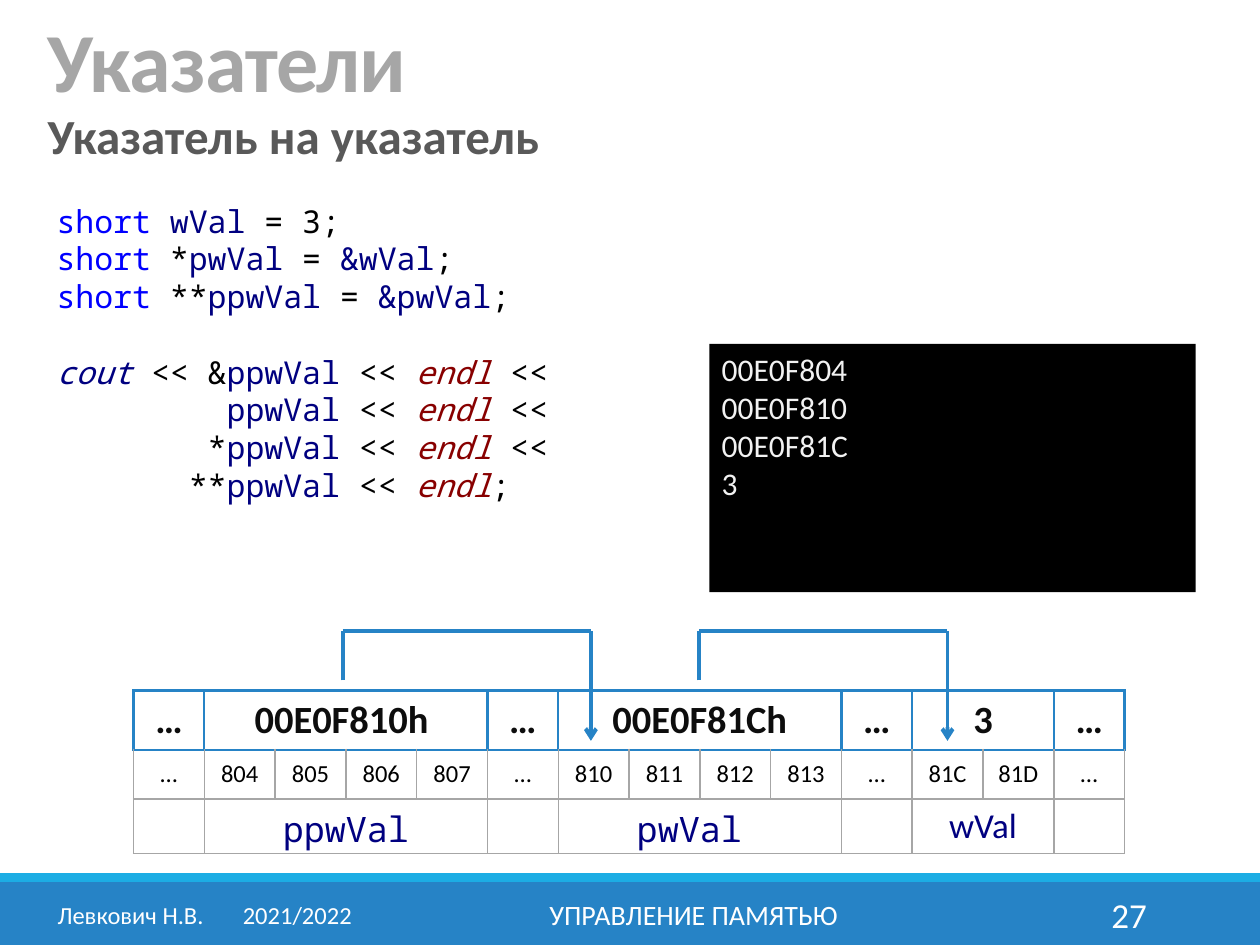
"""Build a slide explaining a pointer to a pointer in C++."""
from lxml import etree
from pptx import Presentation
from pptx.dml.color import RGBColor
from pptx.enum import shapes, text
from pptx.oxml import parse_xml
from pptx.oxml.ns import nsdecls, qn
from pptx.util import Inches, Pt

BLUE, GREY, NAVY, WHITE, BLACK = "2683C6", "A6A6A6", "000080", "FFFFFF", "000000"
LEFT, CENTER, RIGHT = text.PP_ALIGN.LEFT, text.PP_ALIGN.CENTER, text.PP_ALIGN.RIGHT
TOP, MIDDLE = text.MSO_ANCHOR.TOP, text.MSO_ANCHOR.MIDDLE


def style(font, size, colour, bold=False, name="Calibri", italic=False):
    font.size, font.name, font.bold, font.italic = Pt(size), name, bold, italic
    font.color.rgb = RGBColor.from_string(colour)


def add_text(box, content, size, colour, align=LEFT, anchor=TOP, bold=False):
    shape = slide.shapes.add_textbox(*[Inches(value) for value in box])
    frame = shape.text_frame
    frame.word_wrap = True
    frame.vertical_anchor = anchor
    frame.text = content
    paragraph = frame.paragraphs[0]
    paragraph.alignment = align
    for run in paragraph.runs:
        style(run.font, size, colour, bold)
    return paragraph


presentation = Presentation()
presentation.slide_width, presentation.slide_height = Inches(10), Inches(7.5)
slide = presentation.slides.add_slide(presentation.slide_layouts[5])

bands = [(0, 7, 10, 0.5, BLUE), (0, 6.93, 10, 0.07, "1CADE4"), (5.63, 2.73, 3.86, 1.97, BLACK)]
for *box, colour in bands:
    shape = slide.shapes.add_shape(shapes.MSO_SHAPE.RECTANGLE, *[Inches(value) for value in box])
    shape.shadow.inherit = False
    shape.fill.solid()
    shape.fill.fore_color.rgb = RGBColor.from_string(colour)
    shape.line.fill.background()

console = shape.text_frame
console.vertical_anchor = TOP
console.text = "00E0F804\n00E0F810\n00E0F81C\n3"
for paragraph in console.paragraphs:
    paragraph.alignment = LEFT
    style(paragraph.runs[0].font, 18, "F2F2F2")

title = slide.shapes.title
title.left, title.top, title.width, title.height = Inches(0.28), Inches(0), Inches(8.25), Inches(0.92)
title.text_frame.text = "Указатели"
title.text_frame.vertical_anchor = text.MSO_ANCHOR.BOTTOM
paragraph = title.text_frame.paragraphs[0]
paragraph.alignment, paragraph.line_spacing = LEFT, 0.85
style(paragraph.runs[0].font, 48, GREY, bold=True)
paragraph.runs[0].font._element.set("spc", "-50")

subtitle = add_text((0.28, 0.84, 9.37, 0.53), "Указатель на указатель", 28, "595959", bold=True)
subtitle.line_spacing = 0.9

kinds = {"keyword": ("0000FF", False), "name": (NAVY, False), "plain": (BLACK, False),
         "stream": (NAVY, True), "endl": ("880000", True)}
code = [[("keyword", "short"), ("plain", stars), ("name", name), ("plain", " ="),
         ("name", value), ("plain", end)]
        for stars, name, value, end in [(" ", "wVal", "", " 3;"), (" *", "pwVal", " &wVal", ";"),
                                        (" **", "ppwVal", " &pwVal", ";")]]
code += [[("stream", stream), ("plain", prefix), ("name", "ppwVal"), ("plain", " << "),
          ("endl", "endl"), ("plain", end)]
         for stream, prefix, end in [("cout", " << &", " <<"), ("", "         ", " <<"),
                                     ("", "        *", " <<"), ("", "       **", ";")]]
paragraph = add_text((0.35, 1.55, 9.21, 2.52), "", 18, BLACK)
frame = slide.shapes[-1].text_frame
for number, line in enumerate(code):
    if number:
        paragraph = frame.add_paragraph()
    if line[0] == ("stream", "cout"):
        paragraph.space_before = Pt(21.5)
    for kind, content in line:
        if content:
            run = paragraph.add_run()
            run.text = content
            colour, italic = kinds[kind]
            style(run.font, 18, colour, name="Noto Sans Mono", italic=italic)

groups = [("…", 1, ""), ("00E0F810h ", 4, "ppwVal"), ("…", 1, ""), ("00E0F81Ch", 4, "pwVal "),
          ("…", 1, ""), ("3", 2, "wVal"), ("…", 1, "")]
addresses = "… 804 805 806 807 … 810 811 812 813 … 81C 81D …".split()
table = slide.shapes.add_table(3, 14, Inches(1.06), Inches(5.48), Inches(7.87), Inches(1.29)).table
table.first_row = table.horz_banding = False
for column in table.columns:
    column.width = Inches(7.87 / 14)
for row, height in zip(table.rows, (0.47, 0.39, 0.43)):
    row.height = Inches(height)

entries = [(1, column, address, 14, False, "Calibri", BLACK) for column, address in enumerate(addresses)]
column = 0
for value, span, name in groups:
    for row in (0, 2):
        if span > 1:
            table.cell(row, column).merge(table.cell(row, column + span - 1))
    font_name = "Calibri" if name == "wVal" else "Noto Sans Mono"
    entries += [(0, column, value, 22, True, "Calibri", "0D0D0D"),
                (2, column, name, 20, False, font_name, NAVY)]
    column += span

for row, column, content, size, bold, font_name, colour in entries:
    cell = table.cell(row, column)
    cell.vertical_anchor = MIDDLE if row else TOP
    cell.text = content
    paragraph = cell.text_frame.paragraphs[0]
    paragraph.alignment = CENTER
    for run in paragraph.runs:
        style(run.font, size, colour, bold, font_name)

for row in range(3):
    for column in range(14):
        cell = table.cell(row, column)
        properties = cell._tc.get_or_add_tcPr()
        for side in ("lnL", "lnR", "lnT", "lnB"):
            blue = row == 0 or (row == 1 and side == "lnT")
            colour, width = (BLUE, Pt(1.5)) if blue else (GREY, Pt(1))
            properties.append(parse_xml(
                f'<a:{side} {nsdecls("a")} w="{width}"><a:solidFill>'
                f'<a:srgbClr val="{colour}"/></a:solidFill></a:{side}>'))
        if row:
            cell.fill.solid()
            cell.fill.fore_color.rgb = RGBColor.from_string(WHITE)
        else:
            cell.fill.background()

for start, end in [(5.55, 7.52), (2.72, 4.69)]:
    corners = [(start, 5.4), (start, 5.01), (end, 5.01), (end, 5.88)]
    for begin, finish in zip(corners, corners[1:]):
        connector = slide.shapes.add_connector(
            shapes.MSO_CONNECTOR.STRAIGHT, *[Inches(value) for value in begin + finish])
        connector.line.color.rgb = RGBColor.from_string(BLUE)
        connector.line.width = Pt(2.25)
        if finish == corners[-1]:
            etree.SubElement(connector.line._get_or_add_ln(), qn("a:tailEnd"), type="arrow")
        etree.SubElement(connector._element.spPr, qn("a:effectLst"))

author = add_text((0.32, 7.06, 2.61, 0.4), "Левкович Н.В.\t2021/2022", 14, WHITE, CENTER, MIDDLE)
tabs = etree.SubElement(author._p.get_or_add_pPr(), qn("a:tabLst"))
etree.SubElement(tabs, qn("a:tab"), pos=str(Inches(1.47)), algn="l")
add_text((3.02, 7.06, 4.97, 0.4), "УПРАВЛЕНИЕ ПАМЯТЬЮ", 16, WHITE, CENTER, MIDDLE)
add_text((8.12, 7.06, 1.08, 0.4), "27", 20, WHITE, RIGHT, MIDDLE)

presentation.save("out.pptx")
